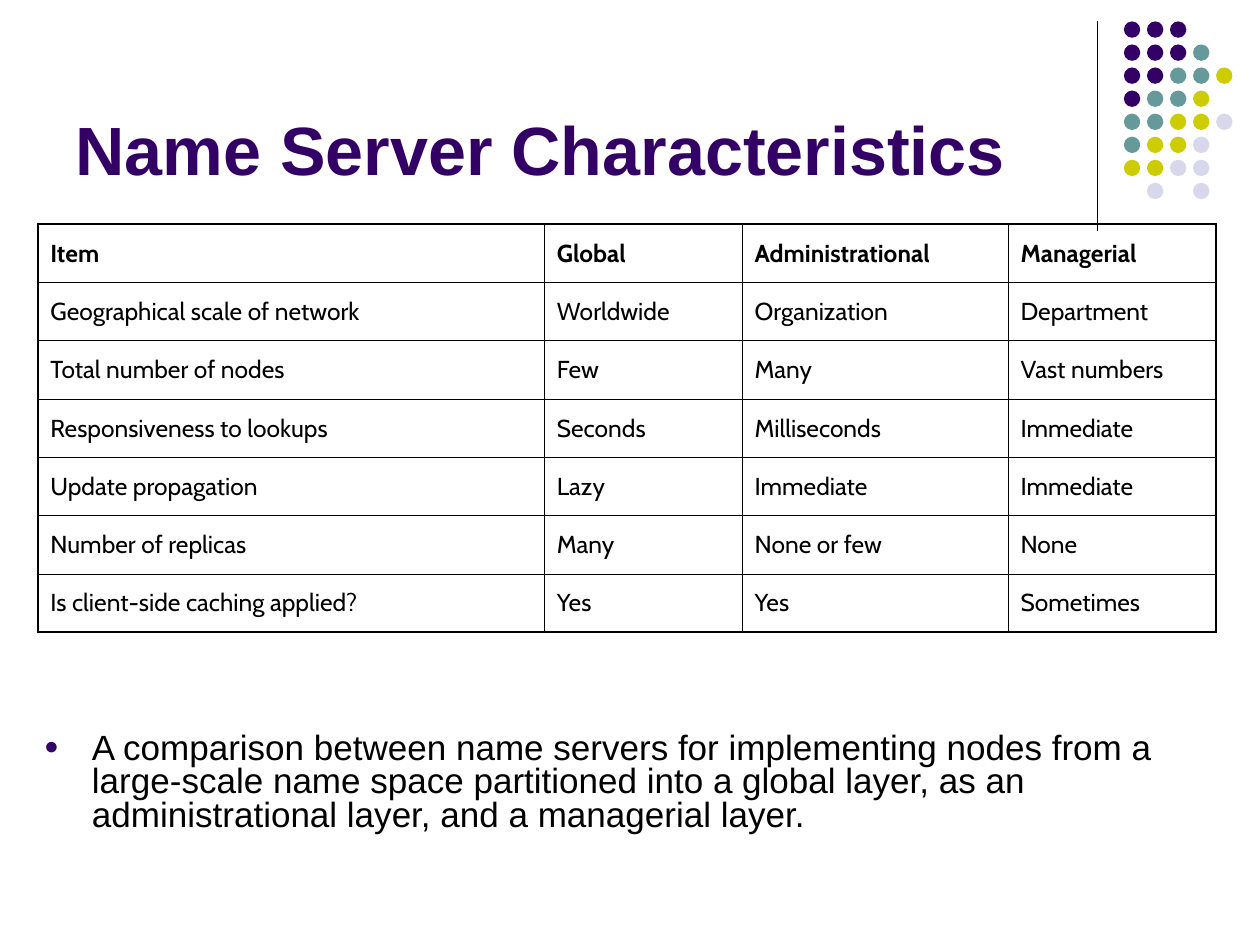
import pptx
import pptx.dml.color
import pptx.enum.shapes
import pptx.enum.text
import pptx.oxml
import pptx.oxml.ns
import pptx.util
from dataclasses import dataclass

Inches = pptx.util.Inches
Pt = pptx.util.Pt
RGB = pptx.dml.color.RGBColor.from_string
qn = pptx.oxml.ns.qn
NS = pptx.oxml.ns.nsdecls("a")


@dataclass(frozen=True)
class Theme:
    purple: str = "330066"
    teal: str = "669999"
    lime: str = "CCCC00"
    lilac: str = "D8D8EC"
    ink: str = "000000"
    font: str = "Arial"
    table_font: str = "Cabin"
    title_size: float = 39
    body_size: float = 20
    table_size: float = 14
    outer_line: float = 1.08
    inner_line: float = 0.45


THEME = Theme()

DOTS = ["PPP", "PPPT", "PPTTL", "PTTL", "TTLLW", "TLLW", "LLWW", " W W"]
DOT_COLORS = {"P": THEME.purple, "T": THEME.teal, "L": THEME.lime, "W": THEME.lilac}

COLUMN_WIDTHS = [4.02, 1.57, 2.11, 1.65]
ROWS = [
    ["Item", "Global", "Administrational", "Managerial"],
    ["Geographical scale of network", "Worldwide", "Organization", "Department"],
    ["Total number of nodes", "Few", "Many", "Vast numbers"],
    ["Responsiveness to lookups", "Seconds", "Milliseconds", "Immediate"],
    ["Update propagation", "Lazy", "Immediate", "Immediate"],
    ["Number of replicas", "Many", "None or few", "None"],
    ["Is client-side caching applied?", "Yes", "Yes", "Sometimes"],
]
COMPARISON = (
    "A comparison between name servers for implementing nodes from a large-scale "
    "name space partitioned into a global layer, as an administrational layer, "
    "and a managerial layer."
)


def style(obj, **values):
    for name, value in values.items():
        setattr(obj, name, value)


def style_font(font, color, **values):
    style(font, **values)
    font.color.rgb = RGB(color)


def place(sp, box):
    style(sp, **dict(zip(("left", "top", "width", "height"), map(Inches, box))))


def add_rule(slide, x, top, bottom):
    """Draw the vertical line beside the title."""
    line = slide.shapes.add_connector(
        pptx.enum.shapes.MSO_CONNECTOR.STRAIGHT,
        Inches(x), Inches(top), Inches(x), Inches(bottom))
    line.line.color.rgb = RGB(THEME.ink)
    line.line.width = Pt(0.75)
    line._element.spPr.append(pptx.oxml.parse_xml(f"<a:effectLst {NS}/>"))


def add_dots(slide, left, top, pitch=0.183, size=0.13):
    """Draw the corner ornament, one letter of DOTS for each dot."""
    group = slide.shapes.add_group_shape()
    for row, letters in enumerate(DOTS):
        for col, letter in enumerate(letters):
            if letter == " ":
                continue
            dot = group.shapes.add_shape(
                pptx.enum.shapes.MSO_SHAPE.OVAL,
                Inches(left + col * pitch), Inches(top + row * pitch),
                Inches(size), Inches(size))
            dot.shadow.inherit = False
            dot.fill.solid()
            dot.fill.fore_color.rgb = RGB(DOT_COLORS[letter])
            dot.line.fill.background()


def add_title(slide, box, text):
    sp = slide.shapes.title
    place(sp, box)
    tf = sp.text_frame
    tf.text = text
    style(tf, word_wrap=True, auto_size=pptx.enum.text.MSO_AUTO_SIZE.NONE,
          vertical_anchor=pptx.enum.text.MSO_ANCHOR.BOTTOM)
    p = tf.paragraphs[0]
    p.alignment = pptx.enum.text.PP_ALIGN.LEFT
    style_font(p.runs[0].font, THEME.purple, name=THEME.font,
               size=Pt(THEME.title_size), bold=True)


def add_body(slide, box, text):
    sp = slide.placeholders[1]
    place(sp, box)
    tf = sp.text_frame
    tf.text = text
    style(tf, word_wrap=True, auto_size=pptx.enum.text.MSO_AUTO_SIZE.NONE,
          vertical_anchor=pptx.enum.text.MSO_ANCHOR.TOP)
    p = tf.paragraphs[0]
    pPr = p._p.get_or_add_pPr()
    indent = Inches(0.38)
    pPr.set("marL", str(indent))
    pPr.set("indent", str(-indent))
    for bullet in (f'<a:buClr {NS}><a:srgbClr val="{THEME.purple}"/></a:buClr>',
                   f'<a:buSzPct {NS} val="70000"/>',
                   f'<a:buChar {NS} char="●"/>'):
        pPr.append(pptx.oxml.parse_xml(bullet))
    style(p, line_spacing=0.8, space_before=Pt(0))
    style_font(p.runs[0].font, THEME.ink, name=THEME.font, size=Pt(THEME.body_size))


def set_borders(cell, outer):
    """Line all four sides; outer tells which of them lie on the table's edge."""
    tcPr = cell._tc.get_or_add_tcPr()
    for side in "LRTB":
        width = Pt(THEME.outer_line if outer[side] else THEME.inner_line)
        tcPr.append(pptx.oxml.parse_xml(
            f'<a:ln{side} {NS} w="{width}"><a:solidFill>'
            f'<a:srgbClr val="{THEME.ink}"/></a:solidFill></a:ln{side}>'))


def add_comparison_table(slide, box):
    n_rows, n_cols = len(ROWS), len(COLUMN_WIDTHS)
    table = slide.shapes.add_table(n_rows, n_cols, *map(Inches, box)).table
    style(table, first_row=False, horz_banding=False)
    for column, width in zip(table.columns, COLUMN_WIDTHS):
        column.width = Inches(width)
    for r, values in enumerate(ROWS):
        for c, value in enumerate(values):
            cell = table.cell(r, c)
            cell.text = value
            style(cell, vertical_anchor=pptx.enum.text.MSO_ANCHOR.MIDDLE)
            style_font(cell.text_frame.paragraphs[0].runs[0].font, THEME.ink,
                       name=THEME.table_font, size=Pt(THEME.table_size), bold=r == 0)
            set_borders(cell, {"L": c == 0, "R": c == n_cols - 1,
                               "T": r == 0, "B": r == n_rows - 1})
            cell.fill.background()


def main():
    prs = pptx.Presentation()
    style(prs, slide_width=Inches(10), slide_height=Inches(7.5))
    slide = prs.slides.add_slide(prs.slide_layouts[1])
    add_rule(slide, 8.71, 0.17, 1.83)
    add_dots(slide, 8.92, 0.17)
    add_title(slide, (0.5, 0.13, 8.25, 1.42), "Name Server Characteristics")
    add_body(slide, (0.25, 5.77, 9.75, 0.92), COMPARISON)
    add_comparison_table(slide, (0.3, 1.78, 9.35, 3.24))
    prs.save("out.pptx")


if __name__ == "__main__":
    main()
